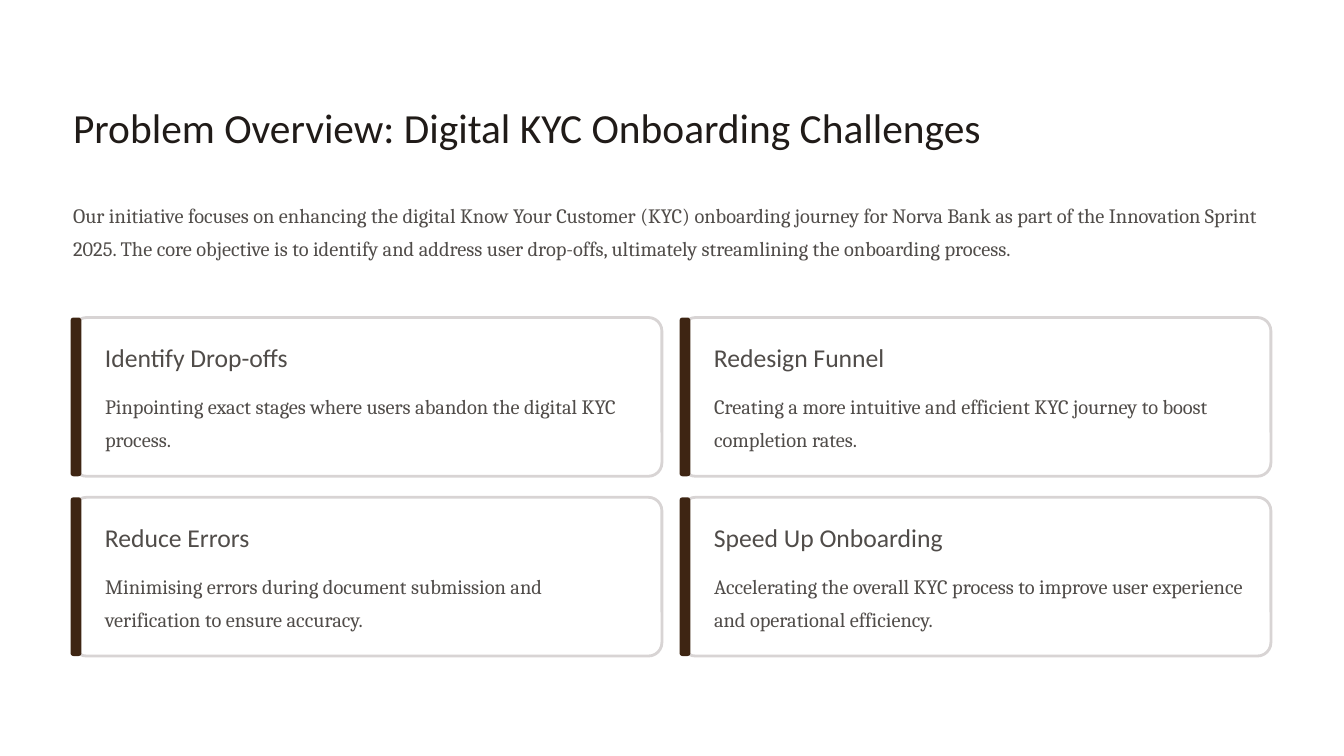
from pptx import Presentation
from pptx import util as u
from pptx.dml.color import RGBColor
from pptx.enum import shapes, text

HUES = {"ink": "201B18", "body": "504C49", "edge": "D8D4D4", "bar": "3E2513", "card": "FFFFFF"}
STYLES = {
    "title": {"name": "Calibri", "size": 35.5, "hue": "ink", "lead": 44.5, "wrap": False},
    "head": {"name": "Calibri", "size": 22, "hue": "body", "lead": 27.5, "wrap": False},
    "body": {"name": "Cambria", "size": 17.5, "hue": "body", "lead": 28.5, "wrap": True},
}
LEFT, TOP = 0.87, 3.78
WIDE, HIGH = 7.01, 1.89
STEP, DROP = 7.25, 2.14
INTRO = ("Our initiative focuses on enhancing the digital Know Your Customer (KYC) "
         "onboarding journey for Norva Bank as part of the Innovation Sprint 2025. "
         "The core objective is to identify and address user drop-offs, ultimately "
         "streamlining the onboarding process.")
CARDS = [
    ("Identify Drop-offs",
     "Pinpointing exact stages where users abandon the digital KYC process."),
    ("Redesign Funnel",
     "Creating a more intuitive and efficient KYC journey to boost completion rates."),
    ("Reduce Errors",
     "Minimising errors during document submission and verification to ensure accuracy."),
    ("Speed Up Onboarding",
     "Accelerating the overall KYC process to improve user experience and operational efficiency."),
]


def color(hue):
    return RGBColor.from_string(HUES[hue])


def apply(item, values):
    for key, value in values.items():
        setattr(item, key, value)


def place(box):
    return [u.Inches(side) for side in box]


def write(shape, words, kind):
    style = STYLES[kind]
    frame = shape.text_frame
    frame.text = words
    apply(frame, {"margin_left": 0, "margin_right": 0, "margin_top": 0, "margin_bottom": 0,
                  "word_wrap": style["wrap"], "auto_size": text.MSO_AUTO_SIZE.NONE,
                  "vertical_anchor": text.MSO_ANCHOR.TOP})
    para = frame.paragraphs[0]
    apply(para, {"alignment": text.PP_ALIGN.LEFT, "line_spacing": u.Pt(style["lead"])})
    font = para.runs[0].font
    apply(font, {"name": style["name"], "size": u.Pt(style["size"])})
    font.color.rgb = color(style["hue"])


def label(slide, box, words, kind):
    write(slide.shapes.add_textbox(*place(box)), words, kind)


def panel(slide, box, fill, curve, edge=None):
    shape = slide.shapes.add_shape(shapes.MSO_SHAPE.ROUNDED_RECTANGLE, *place(box))
    shape.shadow.inherit = False
    shape.adjustments[0] = curve
    shape.fill.solid()
    shape.fill.fore_color.rgb = color(fill)
    if edge:
        shape.line.color.rgb = color(edge)
        shape.line.width = u.Pt(2.4)
    else:
        shape.line.fill.background()


def card(slide, col, row, head, body):
    x, y = LEFT + col * STEP, TOP + row * DROP
    panel(slide, (x, y, WIDE, HIGH), "card", 0.085, "edge")
    panel(slide, (x - 0.03, y, 0.13, HIGH), "bar", 0.28)
    label(slide, (x + 0.38, y + 0.28, 3.1, 0.39), head, "head")
    label(slide, (x + 0.38, y + 0.81, 6.35, 0.79), body, "body")


def main():
    deck = Presentation()
    apply(deck, {"slide_width": u.Inches(16), "slide_height": u.Inches(9)})
    slide = deck.slides.add_slide(deck.slide_layouts[5])
    title = slide.shapes.title
    apply(title, dict(zip(("left", "top", "width", "height"), place((LEFT, 1.19, 13.33, 0.62)))))
    write(title, "Problem Overview: Digital KYC Onboarding Challenges", "title")
    label(slide, (LEFT, 2.31, STEP + WIDE, 1.19), INTRO, "body")
    for index, (head, body) in enumerate(CARDS):
        row, col = divmod(index, 2)
        card(slide, col, row, head, body)
    deck.save("out.pptx")


if __name__ == "__main__":
    main()
